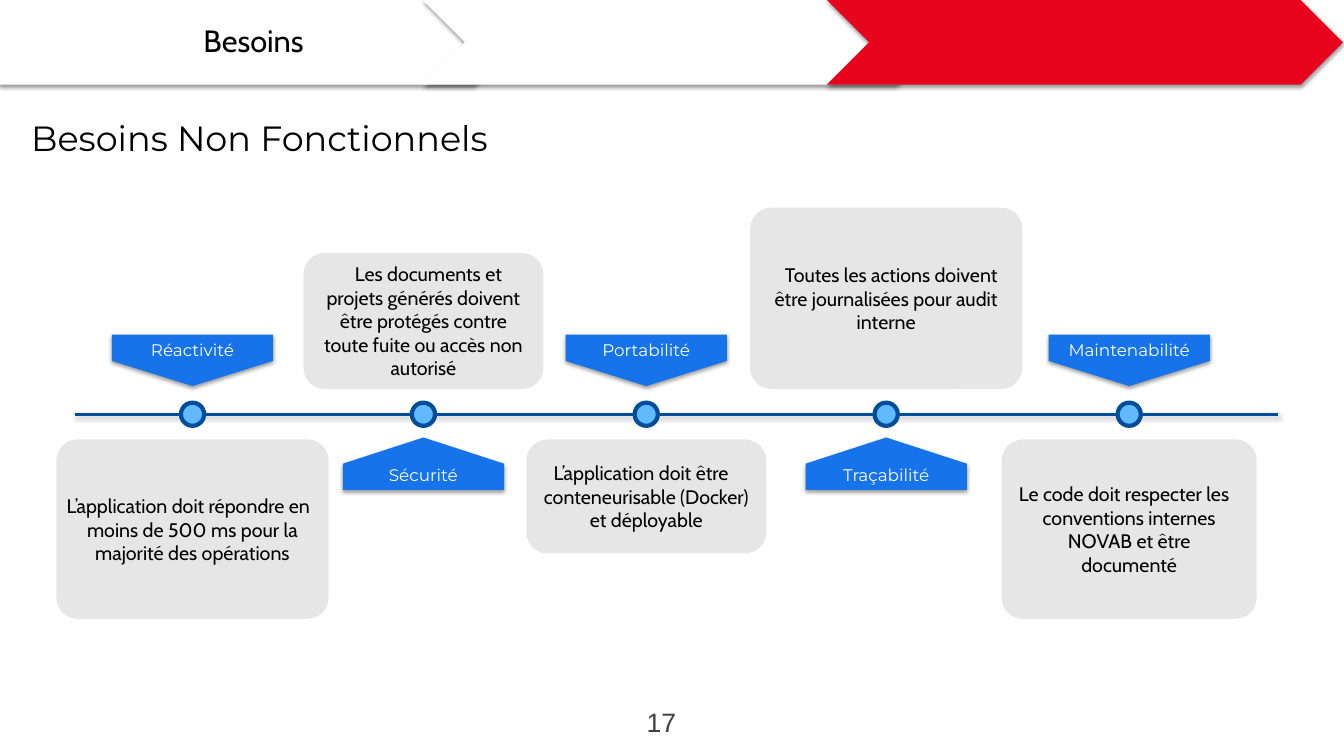
from dataclasses import dataclass

from lxml.etree import SubElement
from pptx import Presentation
from pptx.dml.color import RGBColor
from pptx.enum.shapes import MSO_CONNECTOR, MSO_SHAPE
from pptx.enum.text import MSO_ANCHOR, PP_ALIGN
from pptx.oxml.ns import qn
from pptx.util import Inches, Pt


@dataclass(frozen=True)
class Theme:
    white: str = "FFFFFF"
    black: str = "010101"
    red: str = "E9041E"
    card: str = "E6E6E6"
    label: str = "1673E9"
    dot: str = "61B9FF"
    axis: str = "004D99"
    number: str = "414141"
    shadow: str = "000000"
    heading_font: str = "Montserrat"
    body_font: str = "Cabin"
    number_font: str = "Arial"
    title_size: int = 25
    banner_size: int = 22
    number_size: int = 19
    body_size: int = 14
    label_size: int = 12


@dataclass(frozen=True)
class Need:
    """One milestone; the card lies on the other side of the axis."""
    name: str
    text: str
    center: float
    card_width: float
    card_height: float
    card_above: bool
    first_indent: float


THEME = Theme()
AXIS_Y = 4.11
BANNER_WIDTH, BANNER_HEIGHT = 5.12, 0.84
CARD_RADIUS = 0.21
CARD_INDENT = 0.1
DOT_SIZE = 0.23
LABEL_WIDTH = 1.6

NEEDS = [
    Need("Réactivité", "L’application doit répondre en moins de 500 ms pour la "
         "majorité des opérations", 1.91, 2.7, 1.78, False, -0.08),
    Need("Sécurité", "Les documents et projets générés doivent être protégés contre "
         "toute fuite ou accès non autorisé", 4.2, 2.38, 1.35, True, 0.1),
    Need("Portabilité", "L’application doit être conteneurisable (Docker) et déployable",
         6.41, 2.38, 1.13, False, -0.1),
    Need("Traçabilité", "Toutes les actions doivent être journalisées pour audit interne",
         8.79, 2.7, 1.8, True, 0.1),
    Need("Maintenabilité", "Le code doit respecter les conventions internes NOVAB et être "
         "documenté", 11.2, 2.53, 1.78, False, -0.1),
]


def write_text(shape, text: str, *, font: str, size: int, color: str,
               align=PP_ALIGN.CENTER, anchor=MSO_ANCHOR.TOP, inset: float = 0.05,
               line_spacing: float = 1.0, side_indent: float = 0,
               first_indent: float = 0) -> None:
    frame = shape.text_frame
    frame.word_wrap = True
    frame.vertical_anchor = anchor
    frame.margin_left = frame.margin_right = Inches(inset)
    frame.margin_top = frame.margin_bottom = Inches(inset)
    paragraph = frame.paragraphs[0]
    paragraph.alignment = align
    paragraph.line_spacing = line_spacing
    if side_indent or first_indent:
        properties = paragraph._p.get_or_add_pPr()
        properties.set("marL", str(Inches(side_indent)))
        properties.set("marR", str(Inches(side_indent)))
        properties.set("indent", str(Inches(first_indent)))
    run = paragraph.add_run()
    run.text = text
    run.font.name = font
    run.font.size = Pt(size)
    run.font.color.rgb = RGBColor.from_string(color)


def add_shadow(shape) -> None:
    properties = shape._element.spPr
    effects = properties.find(qn("a:effectLst"))
    if effects is None:
        effects = SubElement(properties, qn("a:effectLst"))
    outer = SubElement(effects, qn("a:outerShdw"), blurRad=str(Pt(3)), dist=str(Pt(1.6)),
                       dir="5400000", rotWithShape="0")
    color = SubElement(outer, qn("a:srgbClr"), val=THEME.shadow)
    SubElement(color, qn("a:alpha"), val="38000")


def style_shape(shape, fill: str, *, shadow: bool = False) -> None:
    shape.shadow.inherit = False
    shape.fill.solid()
    shape.fill.fore_color.rgb = RGBColor.from_string(fill)
    shape.line.fill.background()
    if shadow:
        add_shadow(shape)


def add_preset(slide, kind, left: float, top: float, width: float, height: float,
               fill: str, *, shadow: bool = False):
    shape = slide.shapes.add_shape(kind, Inches(left), Inches(top),
                                   Inches(width), Inches(height))
    style_shape(shape, fill, shadow=shadow)
    return shape


def add_polygon(slide, points: list[tuple[float, float]], fill: str):
    corners = [(Inches(x), Inches(y)) for x, y in points]
    builder = slide.shapes.build_freeform(*corners[0])
    builder.add_line_segments(corners[1:], close=True)
    shape = builder.convert_to_shape()
    style_shape(shape, fill, shadow=True)
    return shape


def add_text_box(slide, left: float, top: float, width: float, height: float,
                 text: str, **text_format) -> None:
    box = slide.shapes.add_textbox(Inches(left), Inches(top), Inches(width), Inches(height))
    write_text(box, text, **text_format)


def add_banner(slide) -> None:
    middle = BANNER_HEIGHT / 2
    shoulder = BANNER_WIDTH - middle
    add_polygon(slide, [(0, 0), (shoulder, 0), (BANNER_WIDTH, middle),
                        (shoulder, BANNER_HEIGHT), (0, BANNER_HEIGHT)], THEME.white)
    add_text_box(slide, 0.11, 0.22, 4.81, 0.4, "Besoins", font=THEME.body_font,
                 size=THEME.banner_size, color=THEME.black, anchor=MSO_ANCHOR.MIDDLE,
                 inset=0.03, line_spacing=0.9)
    for left, fill in ((4.19, THEME.white), (8.2, THEME.red)):
        add_preset(slide, MSO_SHAPE.CHEVRON, left, 0, BANNER_WIDTH, BANNER_HEIGHT,
                   fill, shadow=True)


def add_axis(slide) -> None:
    axis = slide.shapes.add_connector(MSO_CONNECTOR.STRAIGHT, Inches(0.74), Inches(AXIS_Y),
                                      Inches(12.68), Inches(AXIS_Y))
    axis.line.color.rgb = RGBColor.from_string(THEME.axis)
    axis.line.width = Pt(2)
    add_shadow(axis)


def add_need(slide, need: Need) -> None:
    # Card
    card_top = 3.86 - need.card_height if need.card_above else 4.36
    card = add_preset(slide, MSO_SHAPE.ROUNDED_RECTANGLE, need.center - need.card_width / 2,
                      card_top, need.card_width, need.card_height, THEME.card)
    card.adjustments[0] = CARD_RADIUS / need.card_height
    write_text(card, need.text, font=THEME.body_font, size=THEME.body_size,
               color=THEME.black, anchor=MSO_ANCHOR.MIDDLE, inset=0,
               side_indent=CARD_INDENT, first_indent=need.first_indent)

    # Label pointing at the axis
    flat, shoulder, tip = (4.86, 4.6, 4.34) if need.card_above else (3.32, 3.58, 3.83)
    left, right = need.center - LABEL_WIDTH / 2, need.center + LABEL_WIDTH / 2
    label = add_polygon(slide, [(left, flat), (right, flat), (right, shoulder),
                                (need.center, tip), (left, shoulder)], THEME.label)
    write_text(label, need.name, font=THEME.heading_font, size=THEME.label_size,
               color=THEME.white,
               anchor=MSO_ANCHOR.BOTTOM if need.card_above else MSO_ANCHOR.TOP)

    # Dot on the axis
    dot = add_preset(slide, MSO_SHAPE.OVAL, need.center - DOT_SIZE / 2,
                     AXIS_Y - DOT_SIZE / 2, DOT_SIZE, DOT_SIZE, THEME.dot)
    dot.line.color.rgb = RGBColor.from_string(THEME.axis)
    dot.line.width = Pt(3)


def main() -> None:
    presentation = Presentation()
    presentation.slide_width = Inches(13.33)
    presentation.slide_height = Inches(7.5)
    slide = presentation.slides.add_slide(presentation.slide_layouts[6])

    # Title and banner
    add_text_box(slide, 0.27, 1.12, 6.43, 0.5, "Besoins Non Fonctionnels",
                 font=THEME.heading_font, size=THEME.title_size, color=THEME.black,
                 align=PP_ALIGN.LEFT, inset=0.04)
    add_banner(slide)

    # Timeline
    add_axis(slide)
    for need in NEEDS:
        add_need(slide, need)

    # Page number
    add_text_box(slide, 6.31, 6.95, 0.5, 0.42, "17", font=THEME.number_font,
                 size=THEME.number_size, color=THEME.number)
    presentation.save("out.pptx")


if __name__ == "__main__":
    main()
